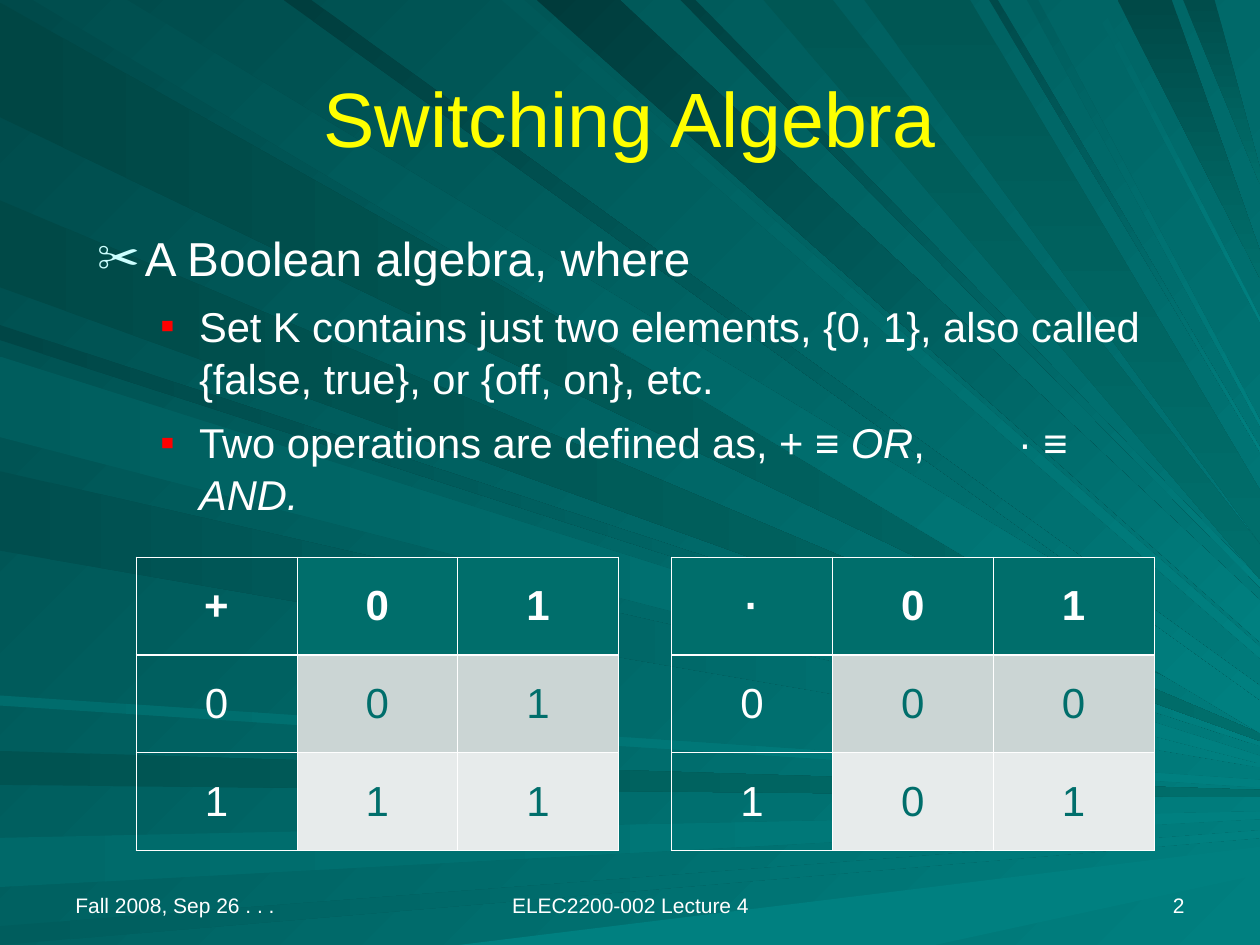
from lxml import etree
from pptx import Presentation
from pptx.dml.color import RGBColor
from pptx.enum.text import MSO_ANCHOR, MSO_AUTO_SIZE, PP_ALIGN
from pptx.oxml.ns import qn
from pptx.util import Inches, Pt

LEFT, MID, RIGHT = PP_ALIGN.LEFT, PP_ALIGN.CENTER, PP_ALIGN.RIGHT
CENTER, BASE = MSO_ANCHOR.MIDDLE, MSO_ANCHOR.BOTTOM
FONT = "Arial"
WIDE, HIGH = 10, 7.5
WHITE, YELLOW, RED, ICE = "FFFFFF", "FFFF00", "FF0000", "CCFFFF"
TEAL, DEEP = "008080", "006E6B"
THIN, THICK = 0.45, 1.47

# Rays run to the right edge: start colour, end colour, two starts, height of tip
SIDE_RAYS = [
    ("004644", DEEP, 0.93, 0.02, 5.7),
    ("005351", DEEP, 6.23, 5.96, 6.3),
    ("006969", TEAL, 7.04, 6.65, 6.47),
    ("005D5D", TEAL, 7.5, 7.35, 6.62),
    ("004646", TEAL, 2.7, 2.58, 5.89),
    ("004947", DEEP, 2.28, 1.59, 5.85),
    ("004E4E", TEAL, 4.37, 3.74, 6.06),
    ("006C6C", TEAL, 5.6, 5.52, 6.22),
    ("005D5D", TEAL, 3.47, 2.83, 6.03),
]
TOP_RAYS = [
    ("004E4E", TEAL, 0.26, 1.01, 5.63),
    ("005959", TEAL, 3.98, 4.16, 5.18),
    ("003B3B", TEAL, 4.26, 4.92, 4.93),
    ("004242", TEAL, 5.4, 5.52, 4.63),
    ("005754", DEEP, 6.06, 6.61, 4.46),
    ("004947", DEEP, 8.87, 9.3, 2.1),
    ("004D4B", DEEP, 9.39, 9.64, 1.4),
    ("003E3E", TEAL, 2.25, 2.47, 5.5),
    ("005754", DEEP, 6.86, 7.7, 4.1),
    ("004A4A", TEAL, 7.85, 7.92, 3.57),
    ("005D5D", TEAL, 8.15, 8.24, 3.36),
    ("006565", TEAL, 8.65, 8.72, 2.54),
]


def color(text):
    return RGBColor.from_string(text)


def paint(fill, start, end=None, angle=0):
    """Fill plainly, or with a gradient whose angle runs clockwise."""
    if end is None:
        fill.solid()
        fill.fore_color.rgb = color(start)
        return
    fill.gradient()
    fill.gradient_angle = -angle % 360
    for stop, tone in zip(fill.gradient_stops, (start, end)):
        stop.color.rgb = color(tone)


def place(shape, left, top, width, height):
    shape.left, shape.top = Inches(left), Inches(top)
    shape.width, shape.height = Inches(width), Inches(height)


def add_run(para, text, size, tone=WHITE, bold=False, italic=False):
    run = para.add_run()
    run.text = text
    font = run.font
    font.name, font.size = FONT, Pt(size)
    font.bold, font.italic = bold, italic
    font.color.rgb = color(tone)


def add_ray(group, start, end, angle, base, tip, half):
    corners = [*base, (WIDE, tip - half), (WIDE, tip + half)]
    spots = [(Inches(x), Inches(y)) for x, y in corners]
    pen = group.shapes.build_freeform(*spots[0])
    pen.add_line_segments(spots[1:], close=True)
    ray = pen.convert_to_shape()
    ray.shadow.inherit = False
    ray.line.fill.background()
    paint(ray.fill, start, end, angle)


def add_rays(slide):
    group = slide.shapes.add_group_shape()
    add_ray(group, TEAL, None, 0, [(7.42, HIGH), (3.64, HIGH)], 6.83, 0.11)
    for start, end, low, high, tip in SIDE_RAYS:
        add_ray(group, start, end, 0, [(0, low), (0, high)], tip, 0.03)
    for start, end, near, far, tip in TOP_RAYS:
        angle = 90 if end == DEEP else 45
        add_ray(group, start, end, angle, [(near, 0), (far, 0)], tip, (far - near) / 4)
    # Keep the rays behind the text
    slide.shapes.title._element.addprevious(group._element)


def add_title(slide, text):
    title = slide.shapes.title
    place(title, 0.5, 0.3, 9, 1.25)
    frame = title.text_frame
    frame.vertical_anchor = CENTER
    para = frame.paragraphs[0]
    para.alignment = MID
    add_run(para, text, 44, YELLOW)


def set_bullet(para, sign, tone, size, left, hang, tab=None):
    props = para._p.get_or_add_pPr()
    props.set("marL", str(Inches(left)))
    props.set("indent", str(-Inches(hang)))
    tint = etree.SubElement(props, qn("a:buClr"))
    etree.SubElement(tint, qn("a:srgbClr"), val=tone)
    etree.SubElement(props, qn("a:buSzPct"), val=str(size * 1000))
    etree.SubElement(props, qn("a:buFont"), typeface=FONT)
    etree.SubElement(props, qn("a:buChar"), char=sign)
    if tab:
        stops = etree.SubElement(props, qn("a:tabLst"))
        etree.SubElement(stops, qn("a:tab"), pos=str(Inches(tab)), algn="l")


def add_list(slide):
    body = slide.placeholders[1]
    place(body, 0.67, 1.75, 8.75, 2.33)
    frame = body.text_frame
    frame.auto_size = MSO_AUTO_SIZE.NONE
    # Level, tab stop, runs of (text, italic)
    items = [
        (0, None, [("A Boolean algebra, where", False)]),
        (1, None, [("Set K contains just two elements, {0, 1}, also called "
                    "{false, true}, or {off, on}, etc.", False)]),
        (1, 7.31, [("Two operations are defined as, + ≡ ", False), ("OR", True),
                   (",\t· ≡ ", False), ("AND.", True)]),
    ]
    for i, (level, tab, runs) in enumerate(items):
        para = frame.add_paragraph() if i else frame.paragraphs[0]
        para.level = level
        if level:
            set_bullet(para, "▪", RED, 100, 0.81, 0.31, tab)
        else:
            set_bullet(para, "✂", ICE, 90, 0.38, 0.38)
        para.space_before = Pt(7 if i else 0)
        para.line_spacing = 1.04
        for text, italic in runs:
            add_run(para, text, 23.8 if level else 27.2, italic=italic)


def add_foot(slide, text, left, width, align):
    box = slide.shapes.add_textbox(Inches(left), Inches(6.83), Inches(width), Inches(0.5))
    frame = box.text_frame
    frame.word_wrap = True
    frame.vertical_anchor = BASE
    para = frame.paragraphs[0]
    para.alignment = align
    add_run(para, text, 12)


def set_edges(cell, top, bottom):
    props = cell._tc.get_or_add_tcPr()
    for side, width in (("L", THIN), ("R", THIN), ("T", top), ("B", bottom)):
        line = etree.SubElement(props, qn("a:ln" + side), w=str(Pt(width)))
        fill = etree.SubElement(line, qn("a:solidFill"))
        etree.SubElement(fill, qn("a:srgbClr"), val=WHITE)


def add_truth(slide, left, rows, corner=None):
    """Draw an operation table; corner is the fill of its first cell."""
    table = slide.shapes.add_table(3, 3, Inches(left), Inches(4.42),
                                   Inches(3.83), Inches(2.33)).table
    table.first_row = table.horz_banding = False
    fills = [(corner, DEEP, DEEP), (None, "CBD5D4", "CBD5D4"), (None, "E7EBEB", "E7EBEB")]
    for r, row in enumerate(rows):
        for c, text in enumerate(row):
            cell = table.cell(r, c)
            set_edges(cell, THICK if r == 1 else THIN, THICK if r == 0 else THIN)
            if fills[r][c]:
                paint(cell.fill, fills[r][c])
            else:
                cell.fill.background()
            cell.vertical_anchor = CENTER
            para = cell.text_frame.paragraphs[0]
            para.alignment = MID
            add_run(para, text, 24, DEEP if r and c else WHITE, bold=r == 0)


def main():
    deck = Presentation()
    deck.slide_width, deck.slide_height = Inches(WIDE), Inches(HIGH)
    slide = deck.slides.add_slide(deck.slide_layouts[1])
    # Backdrop
    paint(slide.background.fill, "004A4A", TEAL, 45)
    add_rays(slide)
    # Title and list
    add_title(slide, "Switching Algebra")
    add_list(slide)
    # Footer
    add_foot(slide, "Fall 2008, Sep 26 . . .", 0.5, 2.33, LEFT)
    add_foot(slide, "ELEC2200-002 Lecture 4", 3.42, 3.17, MID)
    add_foot(slide, "2", 7.17, 2.33, RIGHT)
    # OR and AND tables
    add_truth(slide, 1.08, ["+01", "001", "111"])
    add_truth(slide, 5.33, ["·01", "000", "101"], DEEP)
    deck.save("out.pptx")


if __name__ == "__main__":
    main()
